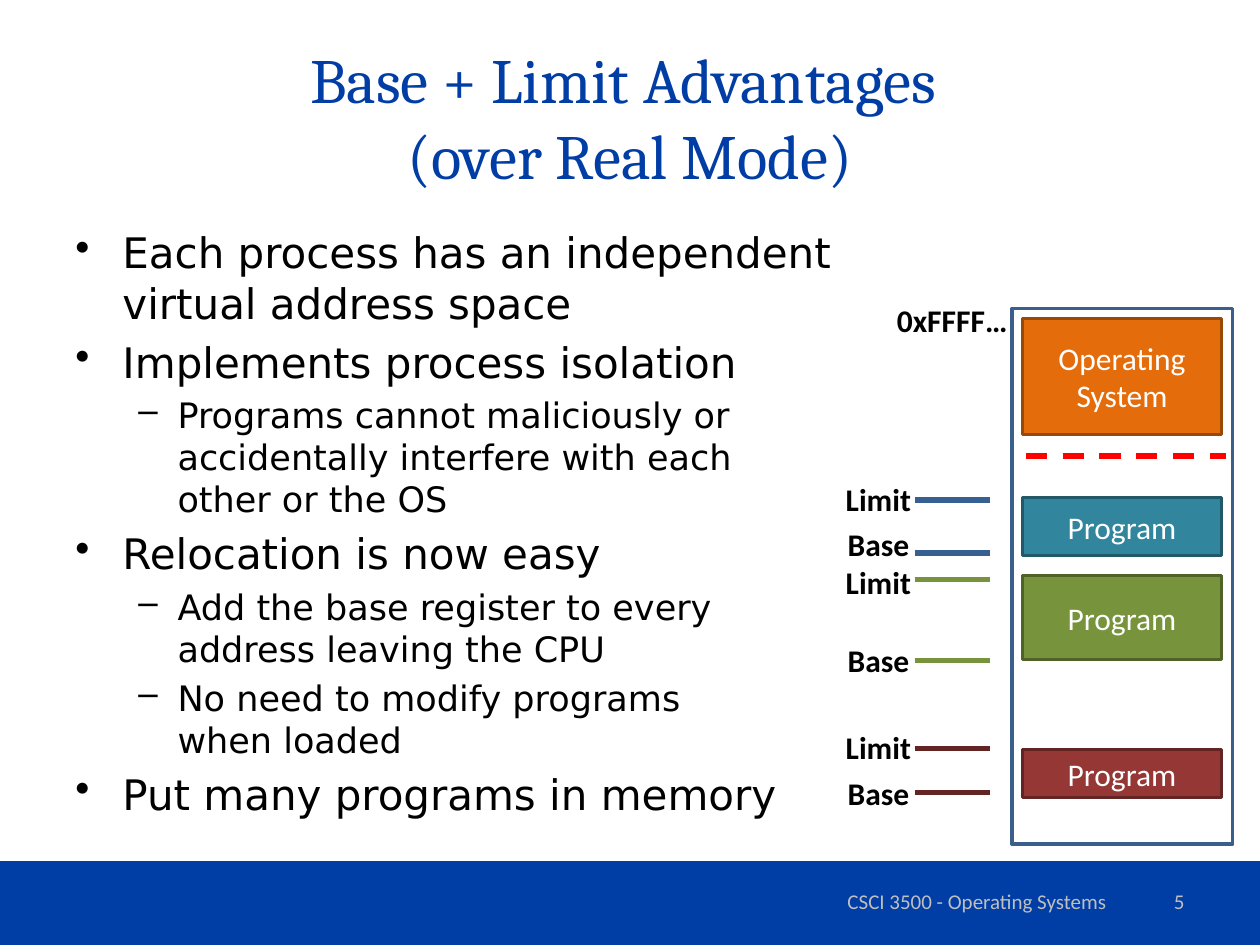
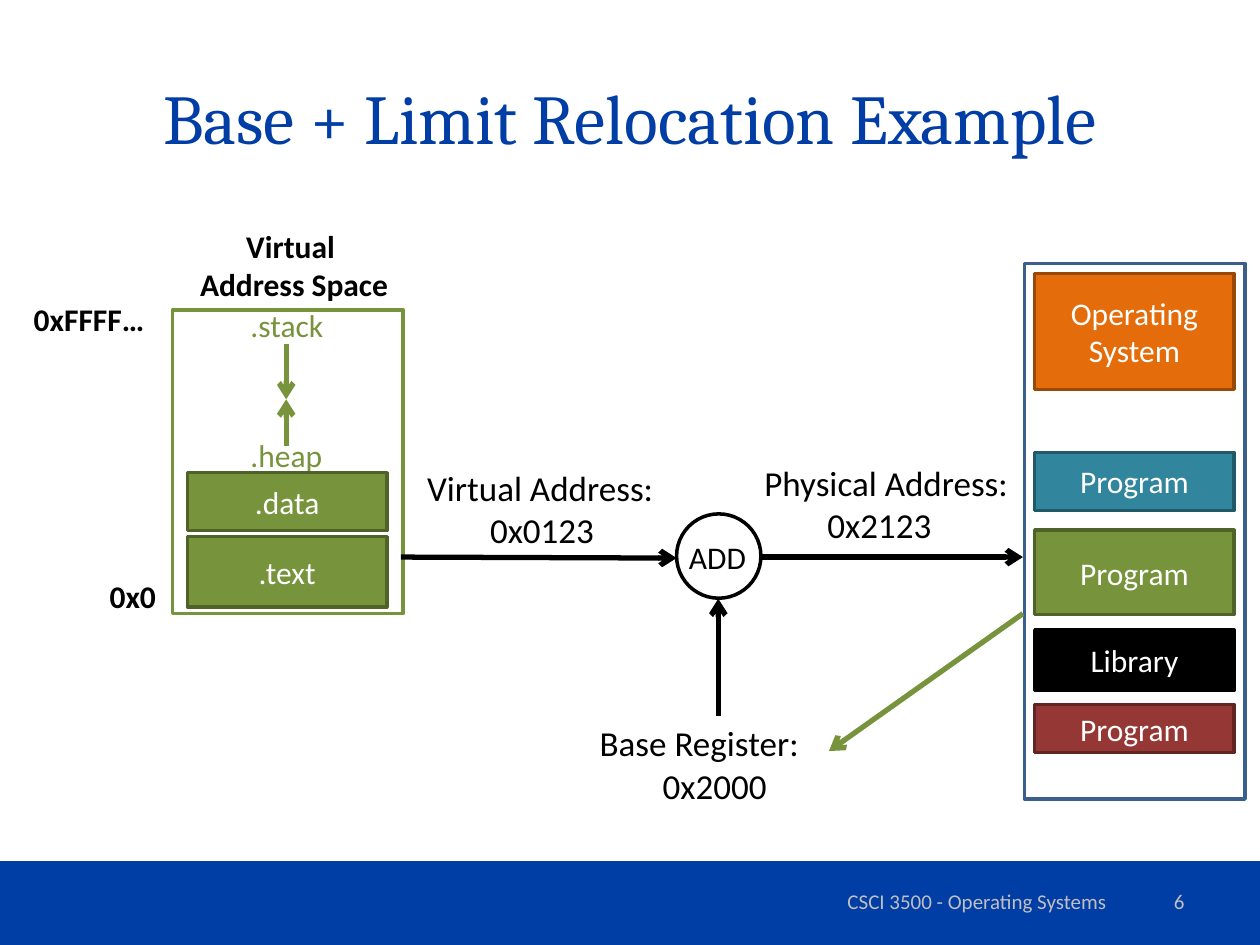
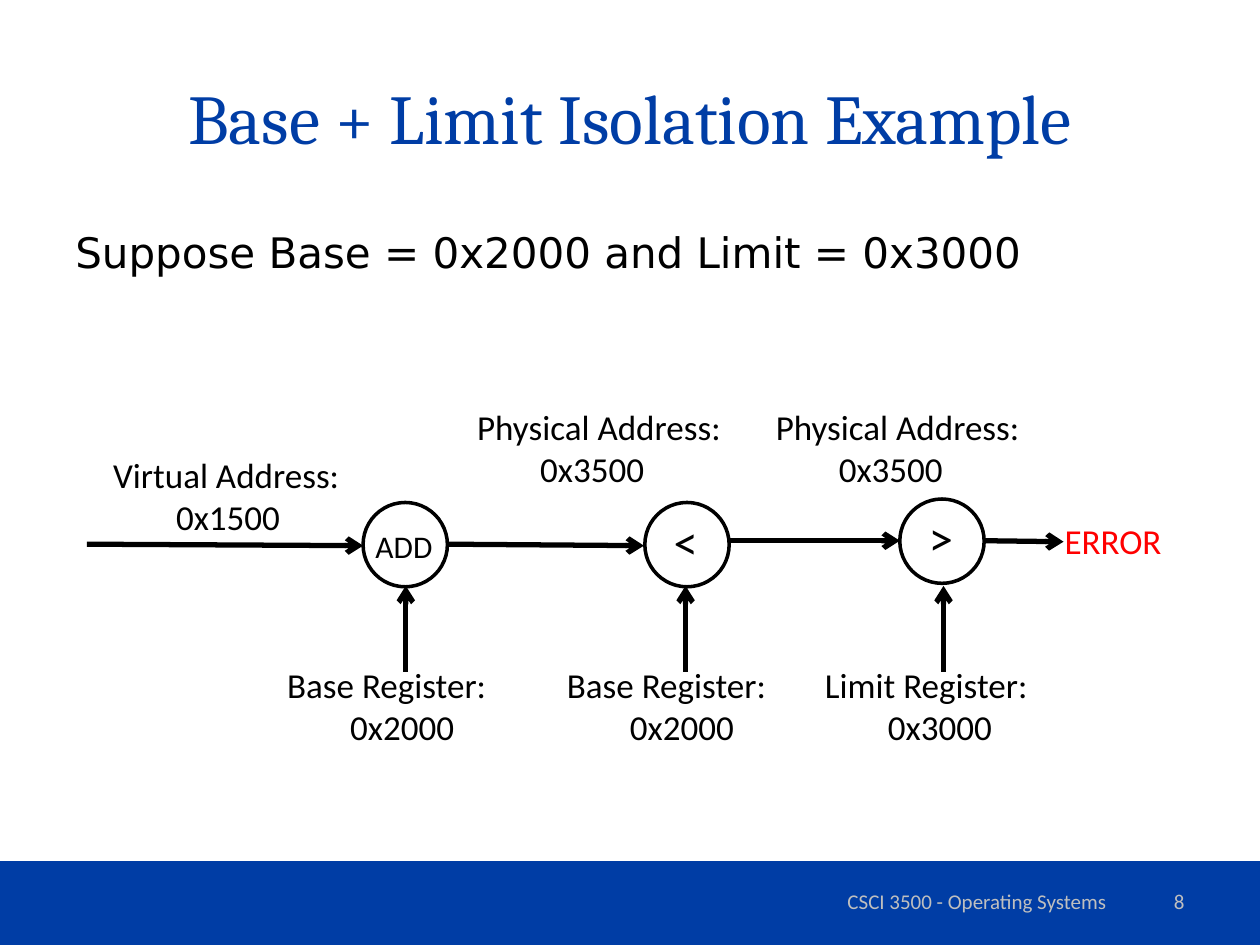
from dataclasses import dataclass

from lxml import etree
from pptx import Presentation
from pptx.dml.color import RGBColor
from pptx.enum.dml import MSO_LINE
from pptx.enum.shapes import MSO_CONNECTOR, MSO_SHAPE
from pptx.enum.text import MSO_ANCHOR, MSO_AUTO_SIZE, PP_ALIGN
from pptx.oxml.ns import qn
from pptx.util import Cm, Pt

LEFT, CENTER, RIGHT = PP_ALIGN.LEFT, PP_ALIGN.CENTER, PP_ALIGN.RIGHT
TOP, MIDDLE = MSO_ANCHOR.TOP, MSO_ANCHOR.MIDDLE
RECTANGLE, OVAL = MSO_SHAPE.RECTANGLE, MSO_SHAPE.OVAL
STRAIGHT = MSO_CONNECTOR.STRAIGHT
DASH = MSO_LINE.DASH
FIT_SHAPE, NO_FIT = MSO_AUTO_SIZE.SHAPE_TO_FIT_TEXT, MSO_AUTO_SIZE.NONE
TITLE_ONLY = 5


@dataclass(frozen=True)
class Theme:
    brand: str = "003DA5"
    footer: str = "BFBFBF"
    black: str = "000000"
    white: str = "FFFFFF"
    red: str = "FF0000"
    frame: str = "3A5F8C"
    blue: str = "376092"
    orange: str = "E46C0A"
    orange_dark: str = "984807"
    teal: str = "31859C"
    teal_dark: str = "215968"
    green: str = "77933C"
    green_dark: str = "4F6228"
    maroon: str = "953735"
    maroon_dark: str = "632523"
    title_font: str = "Cambria"
    body_font: str = "DejaVu Sans"
    label_font: str = "Calibri"
    title_size: int = 40
    long_title_size: int = 36
    symbol_size: int = 28
    body_sizes: tuple = (24, 20)
    value_size: int = 20
    label_size: int = 18
    footer_size: int = 12
    outline: float = 2
    stroke: float = 3


THEME = Theme()

# Memory block: label, offset from the top of memory, height, fill, outline
SYSTEM_BLOCK = ("Operating System", 0.2, 2.34, THEME.orange, THEME.orange_dark)
PROGRAM_BLOCKS = [
    ("Program", 3.81, 1.17, THEME.teal, THEME.teal_dark),
    ("Program", 5.38, 1.7, THEME.green, THEME.green_dark),
    ("Program", 8.89, 0.97, THEME.maroon, THEME.maroon_dark),
]
LIBRARY_BLOCK = ("Library", 7.39, 1.22, THEME.black, THEME.black)

# Register pair: colour, then line height and label top for limit and for base
REGISTER_PAIRS = [
    (THEME.blue, (10.08, 9.55), (11.15, 10.46)),
    (THEME.green, (11.68, 11.23), (13.31, 12.8)),
    (THEME.maroon_dark, (15.09, 14.55), (15.98, 15.47)),
]

ADVANTAGES = [
    (0, "Each process has an independent\nvirtual address space"),
    (0, "Implements process isolation"),
    (1, "Programs cannot maliciously or\naccidentally interfere with each\nother or the OS"),
    (0, "Relocation is now easy"),
    (1, "Add the base register to every\naddress leaving the CPU"),
    (1, "No need to modify programs\nwhen loaded"),
    (0, "Put many programs in memory"),
]
BULLETS = [("•", 0.95, 0.95), ("–", 2.06, 0.79)]
CIRCLE = 1.7


def color(value):
    return RGBColor.from_string(value)


class Deck:
    def __init__(self, theme):
        self.theme = theme
        self.presentation = Presentation()
        self.presentation.slide_width = Cm(25.4)
        self.presentation.slide_height = Cm(19.05)
        self.slide = None

    def start_slide(self, title, number, title_size=None):
        theme = self.theme
        layout = self.presentation.slide_layouts[TITLE_ONLY]
        self.slide = self.presentation.slides.add_slide(layout)
        self.shape(RECTANGLE, 0, 17.36, 25.4, 1.69, fill=theme.brand)
        heading = self.slide.shapes.title
        heading.left, heading.top = Cm(1.27), Cm(0.76)
        heading.width, heading.height = Cm(22.86), Cm(3.18)
        frame = heading.text_frame
        frame.auto_size = NO_FIT
        frame.vertical_anchor = MIDDLE
        frame.paragraphs[0].alignment = CENTER
        self.add_runs(frame.paragraphs[0], title, title_size or theme.title_size,
                      theme.brand, theme.title_font)
        for text, left, width, alignment in (
                ("CSCI 3500 - Operating Systems", 15.67, 8.05, CENTER),
                (number, 18.21, 5.92, RIGHT)):
            self.text(text, left, 17.65, width, 1.02, theme.footer_size, theme.footer,
                      alignment=alignment, anchor=MIDDLE, wrap=True)

    def add_runs(self, paragraph, text, size, ink, font=None, bold=False):
        """Add one run per line, with line breaks between them."""
        for index, line in enumerate(text.split("\n")):
            if index:
                paragraph.add_line_break()
            run = paragraph.add_run()
            run.text = line
            run.font.name = font or self.theme.label_font
            run.font.size = Pt(size)
            run.font.bold = bold
            run.font.color.rgb = color(ink)

    def text(self, text, left, top, width, height=1.02, size=None, ink=None,
             bold=False, alignment=LEFT, anchor=TOP, wrap=False):
        box = self.slide.shapes.add_textbox(Cm(left), Cm(top), Cm(width), Cm(height))
        frame = box.text_frame
        frame.word_wrap = wrap
        frame.auto_size = NO_FIT if wrap else FIT_SHAPE
        frame.vertical_anchor = anchor
        frame.paragraphs[0].alignment = alignment
        self.add_runs(frame.paragraphs[0], text, size or self.theme.label_size,
                      ink or self.theme.black, bold=bold)

    def body(self, items, bulleted=True):
        theme = self.theme
        box = self.slide.shapes.add_textbox(Cm(1.27), Cm(4.45), Cm(22.86), Cm(12.57))
        frame = box.text_frame
        frame.word_wrap = True
        for index, (level, text) in enumerate(items):
            paragraph = frame.add_paragraph() if index else frame.paragraphs[0]
            size = theme.body_sizes[level]
            paragraph.level = level
            if index:
                paragraph.space_before = Pt(size * 0.2)
            if bulleted:
                character, margin, hanging = BULLETS[level]
                properties = paragraph._p.get_or_add_pPr()
                properties.set("marL", str(Cm(margin)))
                properties.set("indent", str(-Cm(hanging)))
                etree.SubElement(properties, qn("a:buChar")).set("char", character)
            self.add_runs(paragraph, text, size, theme.black, theme.body_font)

    def shape(self, kind, left, top, width, height, fill=None, outline=None, label=None):
        shape = self.slide.shapes.add_shape(kind, Cm(left), Cm(top), Cm(width), Cm(height))
        shape.shadow.inherit = False
        if fill:
            shape.fill.solid()
            shape.fill.fore_color.rgb = color(fill)
        else:
            shape.fill.background()
        if outline:
            shape.line.color.rgb = color(outline)
            shape.line.width = Pt(self.theme.outline)
        else:
            shape.line.fill.background()
        if label:
            frame = shape.text_frame
            frame.word_wrap = True
            frame.vertical_anchor = MIDDLE
            frame.paragraphs[0].alignment = CENTER
            self.add_runs(frame.paragraphs[0], label, self.theme.label_size,
                          self.theme.white)

    def line(self, start, end, ink, dashed=False, arrow=False):
        connector = self.slide.shapes.add_connector(
            STRAIGHT, *(Cm(length) for length in (*start, *end)))
        connector.line.color.rgb = color(ink)
        connector.line.width = Pt(self.theme.stroke)
        if dashed:
            connector.line.dash_style = DASH
        properties = connector._element.spPr
        if arrow:
            outline = properties.find(qn("a:ln"))
            etree.SubElement(outline, qn("a:tailEnd")).set("type", "arrow")
        etree.SubElement(properties, qn("a:effectLst"))

    def arrow(self, start, end, ink=None):
        self.line(start, end, ink or self.theme.black, arrow=True)

    def memory(self, left, top, blocks):
        self.shape(RECTANGLE, left, top, 4.45, 10.8, outline=self.theme.frame)
        for label, offset, height, fill, outline in blocks:
            self.shape(RECTANGLE, left + 0.21, top + offset, 4.02, height,
                       fill, outline, label)

    def operator(self, label, left, top):
        """Draw a circle with an operation inside it."""
        self.shape(OVAL, left, top, CIRCLE, CIRCLE, outline=self.theme.black)
        if label == "ADD":
            self.text(label, left, top + 0.37, 1.68)
        else:
            self.text(label, left + 0.33, top + 0.05, 1.02, 1.45, self.theme.symbol_size)

    def value(self, name, number, left, top, width):
        self.text(f"{name}:\n\t{number}", left, top, width, 1.96, self.theme.value_size)

    def register(self, name, number, center, top, arrow_start, arrow_end):
        self.arrow((center, arrow_start), (center, arrow_end))
        self.value(name, number, center - 2.64, top, 5.18)


def build_advantages(deck):
    theme = deck.theme
    deck.start_slide("Base + Limit Advantages \n(over Real Mode)", "5", theme.long_title_size)
    deck.body(ADVANTAGES)
    deck.memory(20.4, 6.22, [SYSTEM_BLOCK, *PROGRAM_BLOCKS])
    deck.line((20.68, 9.19), (24.71, 9.19), theme.red, dashed=True)
    deck.text("0xFFFF…", 17.83, 5.94, 2.77, bold=True)
    for ink, limit, base in REGISTER_PAIRS:
        for name, left, width, (height, label_top) in (
                ("Limit", 16.8, 1.83, limit), ("Base", 16.84, 1.75, base)):
            deck.line((18.44, height), (19.96, height), ink)
            deck.text(name, left, label_top, width, bold=True)


def build_relocation(deck):
    theme = deck.theme
    deck.start_slide("Base + Limit Relocation Example", "6")
    deck.shape(RECTANGLE, 3.48, 6.25, 4.65, 6.12, outline=theme.green)
    for label, top in ((".heap", 8.66), (".stack", 6.05)):
        deck.text(label, 4.8, top, 1.98, 0.58, ink=theme.green)
    for start in (8.99, 6.93):
        deck.arrow((5.77, start), (5.77, 8.05), theme.green)
    for label, top, height in ((".text", 10.82, 1.42), (".data", 9.53, 1.17)):
        deck.shape(RECTANGLE, 3.78, top, 4.02, height, theme.green, theme.green_dark, label)
    deck.text("Virtual \nAddress Space", 3.76, 4.45, 4.34, bold=True, alignment=CENTER)
    deck.text("0x0", 1.96, 11.51, 1.45, bold=True)
    deck.text("0xFFFF…", 0.43, 5.92, 2.77, bold=True)

    deck.arrow((8.08, 11.23), (13.64, 11.25))
    deck.operator("ADD", 13.64, 10.36)
    deck.register("Base Register", "0x2000", 14.48, 14.43, 14.43, 12.07)
    deck.value("Virtual Address", "0x0123", 8.36, 9.27, 5.28)
    deck.arrow((15.34, 11.23), (20.62, 11.23))
    deck.value("Physical Address", "0x2123", 15.16, 9.17, 5.49)
    deck.memory(20.65, 5.31, [SYSTEM_BLOCK, *PROGRAM_BLOCKS, LIBRARY_BLOCK])
    deck.arrow((20.62, 12.37), (16.71, 15.14), theme.green)


def build_isolation(deck):
    theme = deck.theme
    deck.start_slide("Base + Limit Isolation Example", "8")
    deck.body([(0, "Suppose Base = 0x2000 and Limit = 0x3000")], bulleted=False)
    for label, left, top in (("ADD", 7.32, 10.13), ("<", 13, 10.13), (">", 18.14, 10.06)):
        deck.operator(label, left, top)
    for start, end in (((1.75, 10.97), (7.32, 11)), ((9.02, 10.97), (12.98, 11)),
                       ((14.68, 10.9), (18.14, 10.9)), ((19.84, 10.9), (21.44, 10.92))):
        deck.arrow(start, end)
    for name, number, center in (("Base Register", "0x2000", 8.18),
                                 ("Base Register", "0x2000", 13.82),
                                 ("Limit Register", "0x3000", 19.02)):
        deck.register(name, number, center, 13.26, 13.54, 11.81)
    deck.value("Virtual Address", "0x1500", 2.03, 9.02, 5.41)
    for left in (9.37, 15.39):
        deck.value("Physical Address", "0x3500", left, 8.05, 5.49)
    deck.text("ERROR", 21.21, 10.34, 2.49, 1.12, theme.value_size, theme.red)


def main():
    deck = Deck(THEME)
    build_advantages(deck)
    build_relocation(deck)
    build_isolation(deck)
    deck.presentation.save("out.pptx")


if __name__ == "__main__":
    main()
